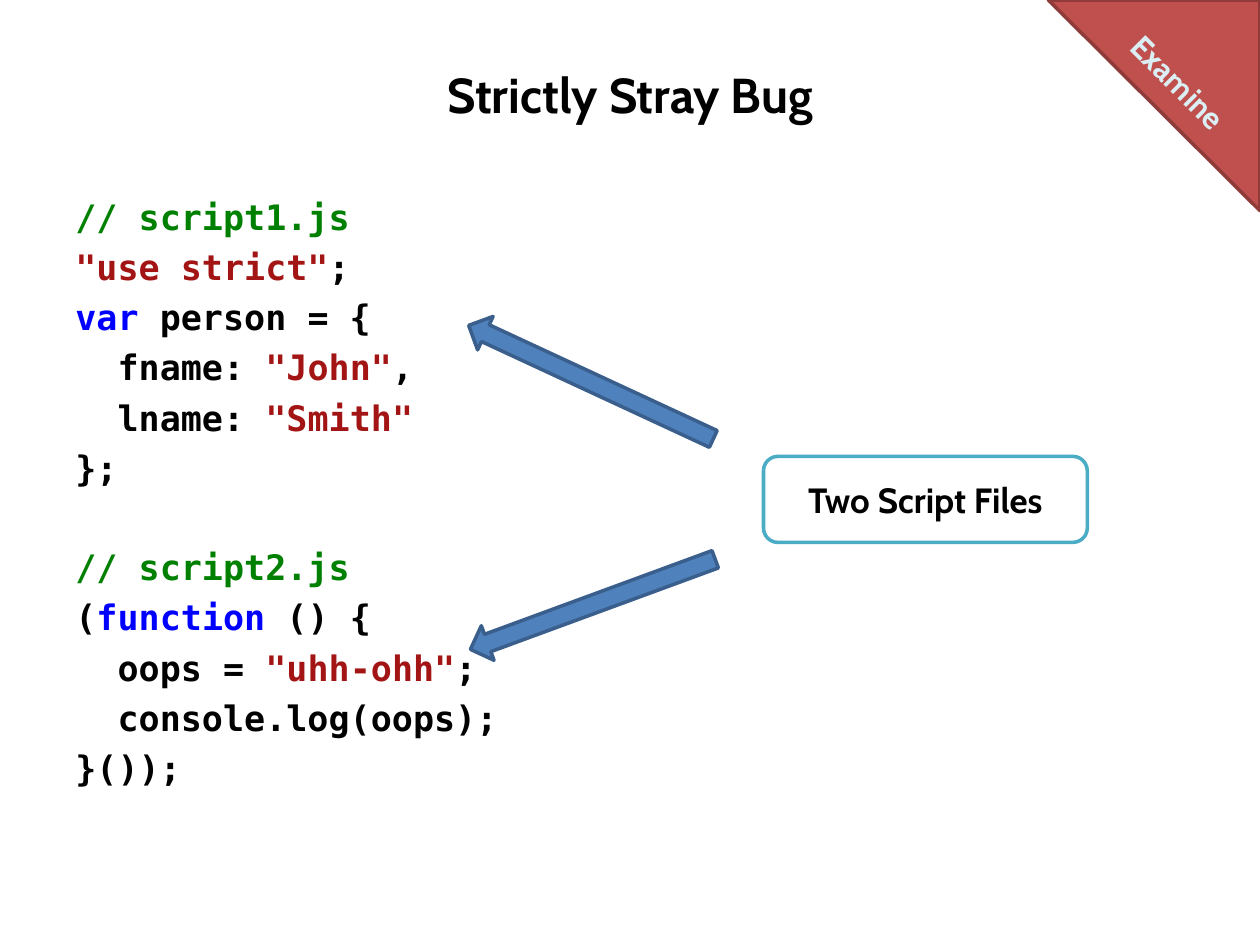
from pptx import Presentation
from pptx import util as u
from pptx.dml import color
from pptx.enum import shapes, text

# Content: each code line is a list of (text, kind) tokens
TITLE = "Strictly Stray Bug"
CALLOUT = "Two Script Files"
RIBBON = "Examine"
SCRIPTS = [
    [
        [("// script1.js", "comment")],
        [('"use strict"', "string"), (";", "plain")],
        [("var", "keyword"), (" person = {", "plain")],
        [("  fname: ", "plain"), ('"John"', "string"), (",", "plain")],
        [("  lname: ", "plain"), ('"Smith"', "string")],
        [("};", "plain")],
    ],
    [
        [("// script2.js", "comment")],
        [("(", "plain"), ("function", "keyword"), (" () {", "plain")],
        [("  oops = ", "plain"), ('"uhh-ohh"', "string"), (";", "plain")],
        [("  console.log(oops);", "plain")],
        [("}());", "plain")],
    ],
]

THEME = {
    "heading_font": "Cabin", "code_font": "DejaVu Sans Mono",
    "title_size": 28, "body_size": 20, "ribbon_size": 18,
    "line_gap": 4.7, "script_gap": 32.7, "outline": 2,
    "plain": "000000", "comment": "008000", "string": "A31515", "keyword": "0000FF",
    "callout": ("FFFFFF", "4BACC6"),
    "arrow": ("4F81BD", "3A5F8C"),
    "ribbon": ("C0504D", "8E3B39"), "ribbon_text": "DBEEF4",
}

# Layout as shares of the slide: left, top, width, height
WIDTH, HEIGHT = 10, 7.5
MARGIN = 0.05
TITLE_AREA = (MARGIN, 0.044, 1 - 2 * MARGIN, 0.11)
CODE_AREA = (MARGIN, 0.2, 1 - 2 * MARGIN, 0.656)
CALLOUT_AREA = (0.606, 0.483, 0.257, 0.091)
ARROWS = [((0.362, 0.385, 0.214, 0.039), 24.9),
          ((0.367, 0.62, 0.207, 0.039), -20.2)]
CORNER_AREA = (0.832, 0, 0.168, 0.223)
RIBBON_AREA = (0.85, 0.06, 0.171, 0.053)


def place(area):
    return [u.Inches(share * side) for share, side in zip(area, (WIDTH, HEIGHT) * 2)]


def rgb(value):
    return color.RGBColor.from_string(value)


def style(run, font, size, value):
    run.font.name, run.font.size, run.font.bold = font, u.Pt(size), True
    run.font.color.rgb = rgb(value)


def add_figure(slide, kind, area, colours, rotation=0):
    shape = slide.shapes.add_shape(kind, *place(area))
    shape.shadow.inherit = False
    shape.rotation = rotation
    fill, line = colours
    shape.fill.solid()
    shape.fill.fore_color.rgb = rgb(fill)
    shape.line.color.rgb = rgb(line)
    shape.line.width = u.Pt(THEME["outline"])
    return shape


def add_label(shape, wording, size, value, anchor=text.MSO_ANCHOR.MIDDLE, wrap=True):
    frame = shape.text_frame
    frame.text = wording
    frame.word_wrap = wrap
    frame.vertical_anchor = anchor
    paragraph = frame.paragraphs[0]
    paragraph.alignment = text.PP_ALIGN.CENTER
    style(paragraph.runs[0], THEME["heading_font"], size, value)


def add_code(slide):
    frame = slide.shapes.add_textbox(*place(CODE_AREA)).text_frame
    frame.word_wrap = True
    for script_index, script in enumerate(SCRIPTS):
        for line_index, line in enumerate(script):
            if script_index == line_index == 0:
                paragraph = frame.paragraphs[0]
            else:
                paragraph = frame.add_paragraph()
                gap = "line_gap" if line_index else "script_gap"
                paragraph.space_before = u.Pt(THEME[gap])
            for wording, kind in line:
                run = paragraph.add_run()
                run.text = wording
                style(run, THEME["code_font"], THEME["body_size"], THEME[kind])


def main():
    presentation = Presentation()
    presentation.slide_width, presentation.slide_height = u.Inches(WIDTH), u.Inches(HEIGHT)
    slide = presentation.slides.add_slide(presentation.slide_layouts[6])

    # Title and code
    title = slide.shapes.add_textbox(*place(TITLE_AREA))
    add_label(title, TITLE, THEME["title_size"], THEME["plain"])
    add_code(slide)

    # Callout with an arrow to each script
    callout = add_figure(slide, shapes.MSO_SHAPE.ROUNDED_RECTANGLE, CALLOUT_AREA, THEME["callout"])
    add_label(callout, CALLOUT, THEME["body_size"], THEME["plain"], wrap=False)
    for area, rotation in ARROWS:
        add_figure(slide, shapes.MSO_SHAPE.LEFT_ARROW, area, THEME["arrow"], rotation)

    # Corner ribbon
    add_figure(slide, shapes.MSO_SHAPE.RIGHT_TRIANGLE, CORNER_AREA, THEME["ribbon"], 180)
    ribbon = slide.shapes.add_textbox(*place(RIBBON_AREA))
    ribbon.rotation = 45
    add_label(ribbon, RIBBON, THEME["ribbon_size"], THEME["ribbon_text"], text.MSO_ANCHOR.TOP)

    presentation.save("out.pptx")


if __name__ == "__main__":
    main()
